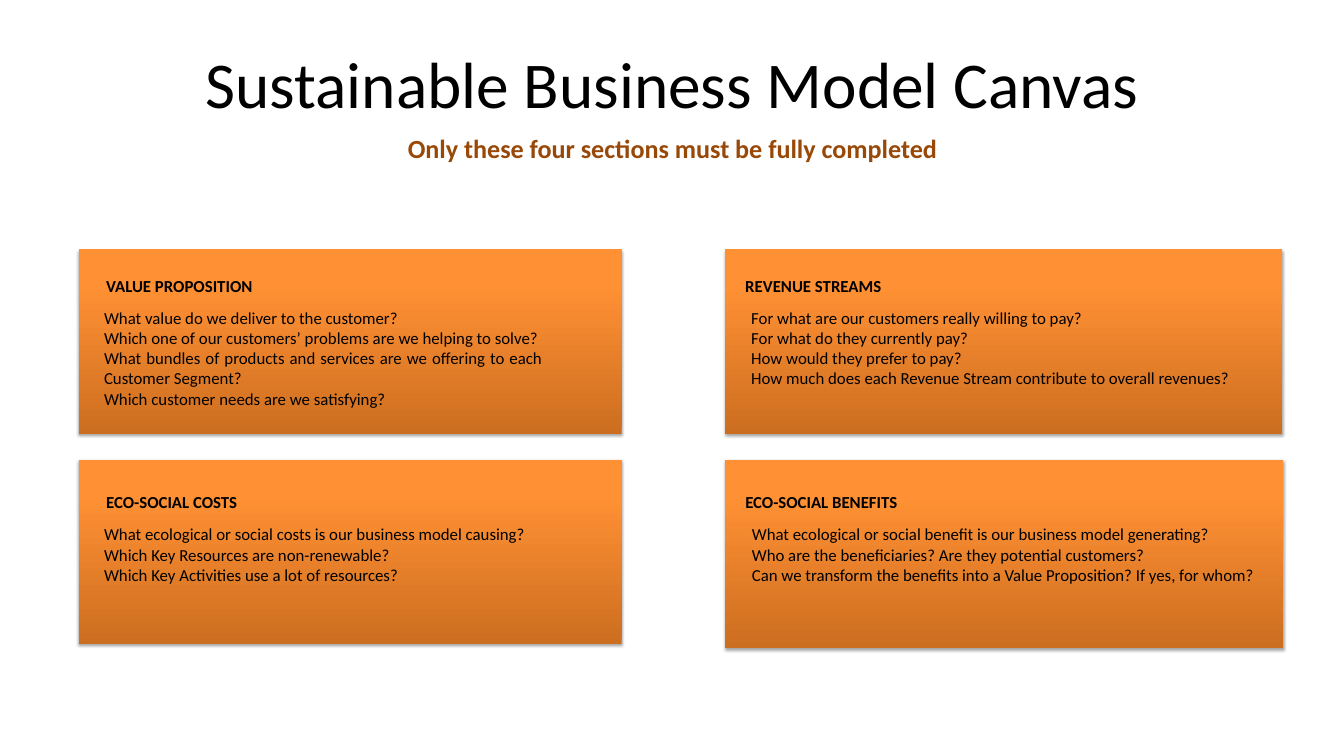
from copy import deepcopy

from lxml.etree import SubElement
from pptx import Presentation
from pptx.dml.color import RGBColor
from pptx.enum.shapes import MSO_SHAPE
from pptx.enum.text import MSO_ANCHOR, MSO_AUTO_SIZE, PP_ALIGN
from pptx.oxml.ns import qn
from pptx.util import Emu, Pt

BLACK = RGBColor(0x00, 0x00, 0x00)
BROWN = RGBColor(0x98, 0x48, 0x07)
DARK_ORANGE = RGBColor(0xCC, 0x6E, 0x20)
ORANGE = RGBColor(0xFF, 0x90, 0x34)
LIGHT_ORANGE = RGBColor(0xFF, 0x91, 0x36)
GRADIENT = [(0, DARK_ORANGE), (0.8, ORANGE), (1, LIGHT_ORANGE)]
EMU_PER_PX = 9144

SECTIONS = [
    ("VALUE PROPOSITION", (117, 371, 808, 275), (158, 401, 294, 36),
     (145, 453, 672, 162), PP_ALIGN.JUSTIFY,
     ["What value do we deliver to the customer?",
      "Which one of our customers’ problems are we helping to solve?",
      "What bundles of products and services are we offering to each Customer Segment?",
      "Which customer needs are we satisfying?"]),
    ("REVENUE STREAMS", (1079, 371, 829, 275), (1109, 401, 337, 36),
     (1108, 453, 911, 131), PP_ALIGN.LEFT,
     ["For what are our customers really willing to pay?",
      "For what do they currently pay?",
      "How would they prefer to pay?",
      "How much does each Revenue Stream contribute to overall revenues?"]),
    ("ECO-SOCIAL COSTS", (117, 684, 808, 275), (158, 723, 208, 39),
     (145, 775, 666, 101), PP_ALIGN.LEFT,
     ["What ecological or social costs is our business model causing?",
      "Which Key Resources are non-renewable?",
      "Which Key Activities use a lot of resources?"]),
    ("ECO-SOCIAL BENEFITS", (1079, 684, 831, 281), (1109, 723, 248, 39),
     (1109, 775, 911, 101), PP_ALIGN.LEFT,
     ["What ecological or social benefit is our business model generating?",
      "Who are the beneficiaries? Are they potential customers?",
      "Can we transform the benefits into a Value Proposition? If yes, for whom?"]),
]


def px(*lengths):
    """Turn px lengths into EMU."""
    return [Emu(length * EMU_PER_PX) for length in lengths]


class Canvas:
    """Hold the style and the current slide."""

    font = "Calibri"

    def __init__(self, page):
        """Start drawing on a page."""
        self.page = page

    def fill_text(self, box, lines, size, color=BLACK, bold=False,
                  align=PP_ALIGN.LEFT, spacing=None, inset=True, wrap=True):
        """Fill a box with formatted paragraphs."""
        frame = box.text_frame
        frame.text = "\n".join(lines)
        frame.word_wrap = wrap
        frame.auto_size = MSO_AUTO_SIZE.SHAPE_TO_FIT_TEXT
        frame.vertical_anchor = MSO_ANCHOR.TOP
        if not inset:
            frame.margin_left = frame.margin_right = 0
            frame.margin_top = frame.margin_bottom = 0
        for para in frame.paragraphs:
            para.alignment = align
            if spacing:
                para.line_spacing = Pt(spacing)
            for span in para.runs:
                span.font.name = self.font
                span.font.size = Pt(size)
                span.font.bold = bold
                span.font.color.rgb = color

    def title(self, text, place):
        """Move and fill the title placeholder."""
        box = self.page.shapes.title
        box.left, box.top, box.width, box.height = px(*place)
        self.fill_text(box, [text], 70, align=PP_ALIGN.CENTER, spacing=98, inset=False)

    def text(self, lines, place, size=18, **style):
        """Add a text box."""
        box = self.page.shapes.add_textbox(*px(*place))
        self.fill_text(box, lines, size, **style)

    def panel(self, place):
        """Add a shaded orange rectangle with a soft shadow."""
        panel = self.page.shapes.add_shape(MSO_SHAPE.RECTANGLE, *px(*place))
        panel.line.fill.background()
        panel.fill.gradient()
        panel.fill.gradient_angle = 90
        properties = panel._element.spPr
        stop_list = properties.find(qn("a:gradFill")).find(qn("a:gsLst"))
        stop_list.append(deepcopy(stop_list[-1]))
        for stop, (position, color) in zip(panel.fill.gradient_stops, GRADIENT):
            stop.position = position
            stop.color.rgb = color
        panel.shadow.inherit = False
        effects = properties.find(qn("a:effectLst"))
        shadow = SubElement(effects, qn("a:outerShdw"), blurRad=str(Pt(3.1)),
                            dist=str(Pt(1.8)), dir="5400000", rotWithShape="0")
        tone = SubElement(shadow, qn("a:srgbClr"), val=str(BLACK))
        SubElement(tone, qn("a:alpha"), val="35000")


def main():
    """Build the slide and save it."""
    deck = Presentation()
    deck.slide_width, deck.slide_height = px(2000, 1125)
    canvas = Canvas(deck.slides.add_slide(deck.slide_layouts[5]))
    canvas.title("Sustainable Business Model Canvas", (78, 45, 1844, 137))
    for heading, panel, heading_place, list_place, align, questions in SECTIONS:
        canvas.panel(panel)
        canvas.text([heading], heading_place, bold=True, spacing=28, inset=False)
        canvas.text(questions, list_place, align=align)
    canvas.text(["Only these four sections must be fully completed"],
                (592, 103, 817, 124), size=28, color=BROWN, bold=True,
                align=PP_ALIGN.CENTER, spacing=98, wrap=False)
    deck.save("out.pptx")


if __name__ == "__main__":
    main()
